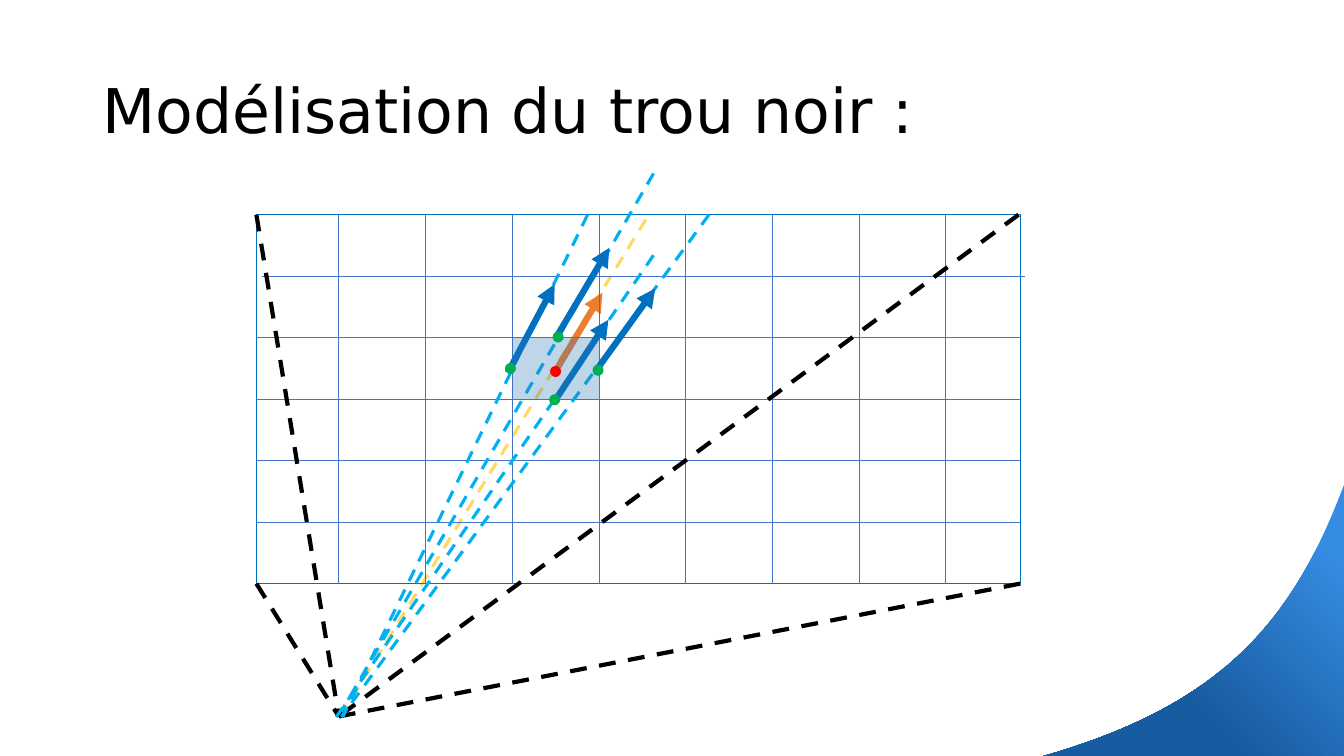
import pptx
import pptx.dml.color
import pptx.enum.dml
import pptx.enum.shapes
import pptx.enum.text
import pptx.oxml
import pptx.oxml.ns
import pptx.util

COLORS = {
    "title": "000000", "frame": "0070C0", "grid": "4472C4", "view": "000000",
    "ray": "00B0F0", "arrow": "0070C0", "mean_ray": "FFD966", "mean_arrow": "ED7D31",
    "cell": "2E75B6", "dot": "00B050", "center": "FF0000",
    "corner_light": "368CE2", "corner_dark": "175BA0",
}
FONT = "DejaVu Sans"
SLIDE_W, SLIDE_H = 13.33, 7.5
SHAPES = pptx.enum.shapes.MSO_SHAPE
inches = pptx.util.Inches

# Everything below is in (column, row) units of the screen grid.
COLUMNS, ROWS = 8, 6
LEFT, RIGHT = 0.05, 8.86
EYE = (1, 8.16)
VIEW_CORNERS = [(LEFT, 0), (RIGHT, ROWS), (8.84, 0), (LEFT, ROWS)]
RAYS = [
    ((4.63, -0.67), (1.03, 8.08)),
    ((5.27, 0), (1.03, 8.17)),
    ((4.63, 0.66), (0.97, 8.17)),
    ((3.87, 0), (1.05, 8.16)),
]
ARROWS = [
    ((3.51, 1.99), (4.12, 0.54)),
    ((3.5, 3.01), (4.11, 1.71)),
    ((3.97, 2.53), (4.65, 1.2)),
    ((2.95, 2.57), (3.49, 1.13)),
]
MEAN_RAY = ((4.54, 0.08), (1.03, 8.14))
MEAN_ARROW = ((3.49, 2.57), (4.04, 1.27))
EDGE_DOTS = [(2.98, 2.5), (3.53, 1.99), (3.99, 2.53), (3.49, 3.01)]
CENTER_DOT = (3.5, 2.55)
DOT_SIZE = 0.11


def rgb(name):
    return pptx.dml.color.RGBColor.from_string(COLORS[name])


def add_title(slide, left, top, width, height):
    title = slide.shapes.title
    title.left, title.top = inches(left), inches(top)
    title.width, title.height = inches(width), inches(height)
    frame = title.text_frame
    frame.text = "Modélisation du trou noir :"
    frame.vertical_anchor = pptx.enum.text.MSO_ANCHOR.MIDDLE
    paragraph = frame.paragraphs[0]
    paragraph.alignment = pptx.enum.text.PP_ALIGN.LEFT
    paragraph.line_spacing = 0.9
    paragraph.font.size = pptx.util.Pt(44)
    paragraph.font.name = FONT
    paragraph.font.color.rgb = rgb("title")


def add_corner(slide, left, top, right, bottom):
    """Fill the slide's lower right corner below a cubic curve."""
    width, height = right - left, bottom - top
    controls = [(1, 0), (0.83, 0.5), (0.6, 0.81), (0, 1)]
    steps = 40
    curve = []
    for step in range(steps + 1):
        t = step / steps
        weights = [(1 - t) ** 3, 3 * t * (1 - t) ** 2, 3 * t ** 2 * (1 - t), t ** 3]
        x, y = (sum(w * p[axis] for w, p in zip(weights, controls)) for axis in (0, 1))
        curve.append((inches(left + x * width), inches(top + y * height)))
    builder = slide.shapes.build_freeform(inches(right), inches(bottom))
    builder.add_line_segments(curve, close=True)
    corner = builder.convert_to_shape()
    corner.shadow.inherit = False
    corner.line.fill.background()
    corner.fill.gradient()
    corner.fill.gradient_angle = 225
    stops = zip(corner.fill.gradient_stops, ("corner_light", "corner_dark"), (0.14, 0.65))
    for stop, color, position in stops:
        stop.color.rgb = rgb(color)
        stop.position = position


def add_ray_diagram(slide, left, top, column_width, row_height):
    """Draw the screen grid, the observer's view and the rays through one cell."""

    def place(point):
        return inches(left + point[0] * column_width), inches(top + point[1] * row_height)

    def add_line(start, end, color, weight, dashed=False, arrow=False):
        line = slide.shapes.add_connector(
            pptx.enum.shapes.MSO_CONNECTOR.STRAIGHT, *place(start), *place(end))
        line.line.color.rgb = rgb(color)
        line.line.width = pptx.util.Pt(weight)
        if dashed:
            line.line.dash_style = pptx.enum.dml.MSO_LINE.DASH
        if arrow:
            tail = pptx.oxml.ns.qn("a:tailEnd")
            line.line._get_or_add_ln().append(line._element.makeelement(tail, {"type": "triangle"}))
        properties = line._element.spPr
        properties.append(properties.makeelement(pptx.oxml.ns.qn("a:effectLst"), {}))

    def add_area(kind, start, end):
        (x1, y1), (x2, y2) = place(start), place(end)
        area = slide.shapes.add_shape(kind, x1, y1, x2 - x1, y2 - y1)
        area.shadow.inherit = False
        return area

    def add_dot(center, color):
        dx, dy = DOT_SIZE / 2 / column_width, DOT_SIZE / 2 / row_height
        dot = add_area(SHAPES.OVAL, (center[0] - dx, center[1] - dy),
                       (center[0] + dx, center[1] + dy))
        dot.fill.solid()
        dot.fill.fore_color.rgb = rgb(color)
        dot.line.fill.background()

    add_line(*MEAN_RAY, "mean_ray", 2.25, dashed=True)
    add_line(*MEAN_ARROW, "mean_arrow", 4.5, arrow=True)

    screen = add_area(SHAPES.RECTANGLE, (LEFT, 0), (RIGHT, ROWS))
    screen.fill.background()
    screen.line.color.rgb = rgb("frame")
    screen.line.width = pptx.util.Pt(1)
    for column in range(1, COLUMNS + 1):
        add_line((column, 0), (column, ROWS), "grid", 0.5)
    for row in range(1, ROWS):
        shift = 0.06 if row == 1 else 0
        add_line((RIGHT + shift, row), (LEFT + shift, row), "grid", 0.5)

    for corner in VIEW_CORNERS:
        add_line(corner, EYE, "view", 3, dashed=True)
    for ray in RAYS:
        add_line(*ray, "ray", 2.25, dashed=True)
    for arrow in ARROWS:
        add_line(*arrow, "arrow", 4.5, arrow=True)

    cell = add_area(SHAPES.RECTANGLE, (3, 2), (4, 3))
    cell.fill.solid()
    cell.fill.fore_color.rgb = rgb("cell")
    cell.line.fill.background()
    tint = cell._element.spPr.find(".//" + pptx.oxml.ns.qn("a:srgbClr"))
    tint.append(tint.makeelement(pptx.oxml.ns.qn("a:alpha"), {"val": "30000"}))

    for dot in EDGE_DOTS:
        add_dot(dot, "dot")
    add_dot(CENTER_DOT, "center")


def main():
    deck = pptx.Presentation()
    deck.slide_width, deck.slide_height = inches(SLIDE_W), inches(SLIDE_H)
    slide = deck.slides.add_slide(deck.slide_layouts[5])
    add_corner(slide, 10.35, 4.81, SLIDE_W, SLIDE_H)
    add_title(slide, 0.92, 0.4, 11.5, 1.45)
    add_ray_diagram(slide, 2.5, 2.13, 0.86, 0.61)
    deck.save("out.pptx")


if __name__ == "__main__":
    main()
